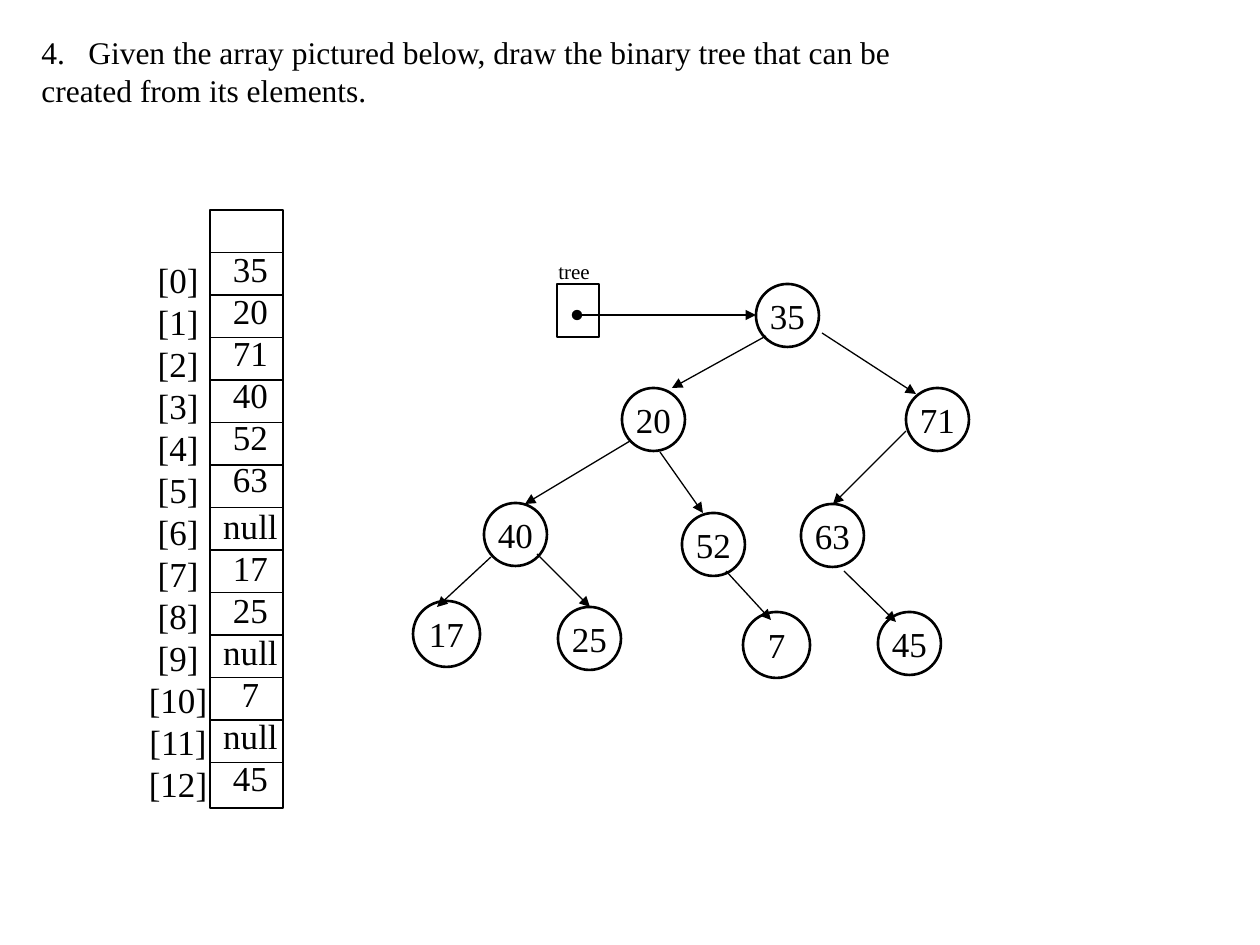
import pptx
import pptx.dml.color
import pptx.enum.shapes
import pptx.enum.text
import pptx.oxml.ns
import pptx.util
from lxml import etree

BLACK = pptx.dml.color.RGBColor(0, 0, 0)
PX_PER_INCH = 126
SHAPES = pptx.enum.shapes.MSO_SHAPE
ALIGN = pptx.enum.text.PP_ALIGN


def px(length):
    return pptx.util.Emu(round(length * 914400 / PX_PER_INCH))


def add_xml(parent, tag, **attributes):
    return etree.SubElement(parent, pptx.oxml.ns.qn(tag), attributes)


class Sketch:
    font_name = "Times New Roman"
    color = BLACK
    thin = pptx.util.Pt(0.75)
    thick = pptx.util.Pt(1.5)

    def __init__(self, page):
        self.page = page

    def add_span(self, para, text, size, align):
        para.alignment = align
        span = para.add_run()
        span.text = text
        span.font.size = pptx.util.Pt(size)
        span.font.name = self.font_name
        span.font.color.rgb = self.color

    def text(self, left, top, width, height, lines, size,
             align=ALIGN.LEFT, spacing=None):
        box = self.page.shapes.add_textbox(px(left), px(top), px(width), px(height))
        frame = box.text_frame
        frame.word_wrap = False
        frame.auto_size = pptx.enum.text.MSO_AUTO_SIZE.SHAPE_TO_FIT_TEXT
        for index, line in enumerate(lines):
            para = frame.add_paragraph() if index else frame.paragraphs[0]
            if spacing:
                para.line_spacing = pptx.util.Pt(spacing)
            self.add_span(para, line, size, align)
        return frame

    def number(self, para, start, indent):
        properties = para._p.get_or_add_pPr()
        properties.set("marL", str(px(indent)))
        properties.set("indent", str(-px(indent)))
        add_xml(properties, "a:buFont", typeface=self.font_name)
        add_xml(properties, "a:buAutoNum", type="arabicPeriod", startAt=str(start))

    def outline(self, kind, left, top, width, height, weight):
        shape = self.page.shapes.add_shape(kind, px(left), px(top), px(width), px(height))
        shape.shadow.inherit = False
        shape.fill.background()
        shape.line.color.rgb = self.color
        shape.line.width = weight
        return shape

    def node(self, label, left, top, width=63, height=63):
        circle = self.outline(SHAPES.OVAL, left, top, width, height, self.thick)
        frame = circle.text_frame
        frame.word_wrap = False
        frame.vertical_anchor = pptx.enum.text.MSO_ANCHOR.MIDDLE
        self.add_span(frame.paragraphs[0], label, 20, ALIGN.CENTER)

    def line(self, x1, y1, x2, y2, **ends):
        connector = self.page.shapes.add_connector(
            pptx.enum.shapes.MSO_CONNECTOR.STRAIGHT, px(x1), px(y1), px(x2), px(y2))
        connector.line.color.rgb = self.color
        connector.line.width = self.thin
        outline = connector.line._get_or_add_ln()
        for end in ("headEnd", "tailEnd"):
            if end in ends:
                add_xml(outline, "a:" + end, type=ends[end])
        add_xml(connector._element.spPr, "a:effectLst")

    def arrow(self, x1, y1, x2, y2, **ends):
        self.line(x1, y1, x2, y2, tailEnd="triangle", **ends)


QUESTION = [
    "Given the array pictured below, draw the binary tree that can be",
    "created from its elements.",
]
VALUES = ["35", "20", "71", "40", "52", "63", "null", "17", "25", "null", "7", "null", "45"]
NODES = [
    ("35", 756, 284), ("20", 622, 388), ("71", 906, 388),
    ("40", 484, 503), ("52", 682, 513), ("63", 801, 504),
    ("17", 413, 601, 67, 66), ("25", 558, 607),
    ("7", 743, 612, 67, 66), ("45", 878, 612),
]
BRANCHES = [
    (766, 336, 672, 388), (822, 333, 916, 394),
    (630, 441, 525, 504), (660, 452, 703, 513), (906, 431, 833, 504),
    (491, 557, 437, 607), (537, 554, 590, 607),
    (726, 571, 771, 620), (844, 571, 896, 622),
]
ARRAY_LEFT, ARRAY_TOP, ARRAY_WIDTH, ARRAY_HEIGHT = 210, 210, 73, 598
ROW_HEIGHT = 42.5


def draw_array(sketch):
    sketch.outline(SHAPES.RECTANGLE, ARRAY_LEFT, ARRAY_TOP, ARRAY_WIDTH,
                   ARRAY_HEIGHT, sketch.thin)
    for row in range(1, len(VALUES) + 1):
        y = ARRAY_TOP + row * ROW_HEIGHT
        sketch.line(ARRAY_LEFT, y, ARRAY_LEFT + ARRAY_WIDTH, y)
    indexes = [f"[{index}]" for index in range(len(VALUES))]
    sketch.text(136, 252, 84, 564, indexes, 20, ALIGN.CENTER, 24)
    column = sketch.text(210, 241, 81, 564, VALUES, 20, ALIGN.CENTER, 24)
    column.paragraphs[VALUES.index("null")].space_before = pptx.util.Pt(3)


def draw_tree(sketch):
    for node in NODES:
        sketch.node(*node)
    for branch in BRANCHES:
        sketch.arrow(*branch)
    sketch.outline(SHAPES.RECTANGLE, 557, 284, 42, 53, sketch.thin)
    sketch.arrow(577, 315, 756, 315, headEnd="oval")
    sketch.text(546, 252, 57, 38, ["tree"], 12)


def main():
    deck = pptx.Presentation()
    deck.slide_width = px(1260)
    deck.slide_height = px(945)
    sketch = Sketch(deck.slides.add_slide(deck.slide_layouts[6]))
    question = sketch.text(29, 26, 885, 89, QUESTION, 18, spacing=22)
    sketch.number(question.paragraphs[0], 4, 47)
    draw_array(sketch)
    draw_tree(sketch)
    deck.save("out.pptx")


if __name__ == "__main__":
    main()
